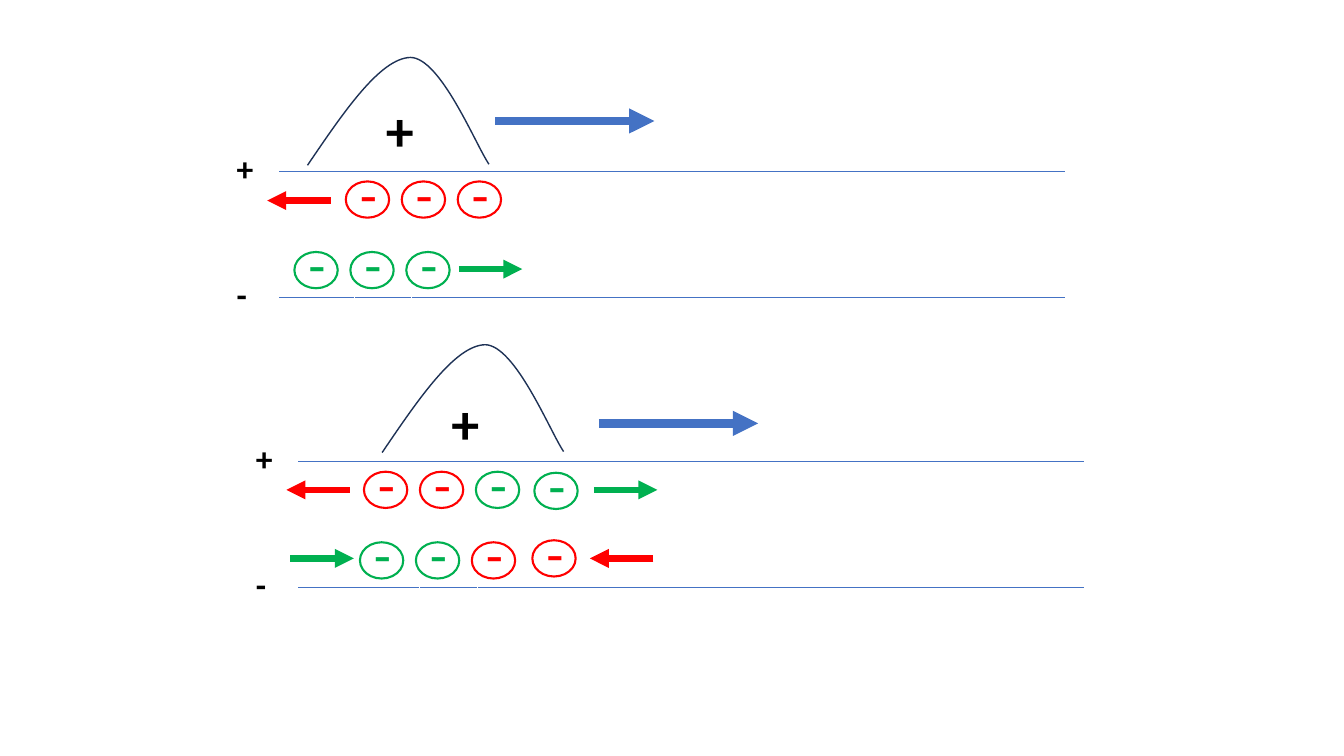
from lxml import etree
from pptx import Presentation
from pptx.dml.color import RGBColor
from pptx.enum.shapes import MSO_CONNECTOR, MSO_SHAPE
from pptx.enum.text import MSO_ANCHOR, PP_ALIGN
from pptx.oxml.ns import qn
from pptx.util import Inches, Pt

BLACK, WHITE, RED, GREEN = "000000", "FFFFFF", "FF0000", "00B050"
BLUE, NAVY = "4472C4", "1E3256"
PITCH = 0.555  # distance between neighbouring charges


def rgb(color):
    return RGBColor.from_string(color)


def set_line(sp, color, width):
    sp.line.color.rgb = rgb(color)
    sp.line.width = Pt(width)


def add_line(shapes, x1, y1, x2, color, width, arrow=False):
    """Horizontal line, with an arrowhead at x2 on request."""
    line = shapes.add_connector(MSO_CONNECTOR.STRAIGHT, Inches(x1), Inches(y1),
                                Inches(x2), Inches(y1))
    set_line(line, color, width)
    if arrow:
        etree.SubElement(line.line._get_or_add_ln(), qn("a:tailEnd"), type="triangle")
    etree.SubElement(line._element.spPr, qn("a:effectLst"))


def add_shape(shapes, kind, x, y, w, h, color, width):
    sp = shapes.add_shape(kind, Inches(x), Inches(y), Inches(w), Inches(h))
    sp.shadow.inherit = False
    sp.fill.background()
    set_line(sp, color, width)
    return sp


def write_sign(sp, sign, size, color, bold):
    tf = sp.text_frame
    tf.word_wrap = True
    tf.vertical_anchor = MSO_ANCHOR.TOP
    p = tf.paragraphs[0]
    p.alignment = PP_ALIGN.LEFT
    p.font.name, p.font.size, p.font.bold = "Calibri", Pt(size), bold
    p.font.color.rgb = rgb(color)
    r = p.add_run()
    r.text = sign


def add_sign(shapes, sign, x, y, w, h, size, color=BLACK, bold=True):
    box = shapes.add_textbox(Inches(x), Inches(y), Inches(w), Inches(h))
    write_sign(box, sign, size, color, bold)


def add_charge(shapes, x, y, color, framed=False):
    """Circled minus sign; a framed one has a white-edged text rectangle."""
    box = (x + 0.04, y - 0.27, 0.57, 0.77)
    if framed:
        sp = add_shape(shapes, MSO_SHAPE.RECTANGLE, *box, WHITE, 0.75)
        write_sign(sp, "-", 40, color, False)
    else:
        add_sign(shapes, "-", *box, 40, color, False)
    add_shape(shapes, MSO_SHAPE.OVAL, x, y, 0.43, 0.36, color, 1.5)


def add_charge_row(shapes, x, y, colors, framed=None):
    group = shapes.add_group_shape()
    for i, color in enumerate(colors):
        add_charge(group.shapes, x + i * PITCH, y, color, i == framed)


def add_pulse(shapes, x, y):
    """Bell curve of two Bezier segments, starting from its left foot."""
    segments = [[(0.36, -0.53), (0.72, -1.06), (1.02, -1.07)],
                [(1.32, -1.07), (1.67, -0.2), (1.8, -0.01)]]
    builder = shapes.build_freeform(Inches(x), Inches(y))
    builder.add_line_segments([(Inches(x + s[-1][0]), Inches(y + s[-1][1]))
                               for s in segments], close=False)
    sp = builder.convert_to_shape()
    sp.shadow.inherit = False
    sp.fill.background()
    set_line(sp, NAVY, 1)
    for node, points in zip(list(sp._element.iter(qn("a:lnTo"))), segments):
        node.tag  # straight step that the curve replaces
        curve = etree.Element(qn("a:cubicBezTo"))
        for dx, dy in points:
            etree.SubElement(curve, qn("a:pt"), x=str(Inches(dx)),
                             y=str(Inches(dy + 1.07)))
        node.getparent().replace(node, curve)


def add_panel(shapes, x, y, pulse, plus, wave, top, bottom, arrows):
    """Two rails with the upper one starting at x, y."""
    add_pulse(shapes, *pulse)
    for sign, dy in (("+", 0), ("-", 1.25)):
        add_line(shapes, x, y + dy, x + 7.79, BLUE, 0.5)
        add_sign(shapes, sign, x - 0.52, y + dy - 0.28, 0.6, 0.5, 24)
    add_line(shapes, *wave, wave[0] + 1.58, BLUE, 6, True)
    # Charges along the lower and the upper rail
    add_charge_row(shapes, *bottom, framed=1)
    add_charge_row(shapes, *top)
    for start, ay, step, color in arrows:
        add_line(shapes, start, ay, start + step, color, 4.5, True)
    add_sign(shapes, "+", *plus, 0.57, 0.77, 40)


def main():
    prs = Presentation()
    prs.slide_width, prs.slide_height = Inches(13.33), Inches(7.5)
    shapes = prs.slides.add_slide(prs.slide_layouts[6]).shapes

    # Upper panel: charges of one colour on each rail
    add_panel(shapes, 2.77, 1.7, pulse=(3.05, 1.64), plus=(3.73, 0.9), wave=(4.91, 1.2),
              top=(3.43, 1.8, [RED] * 3), bottom=(2.92, 2.5, [GREEN] * 3),
              arrows=[(3.28, 1.99, -0.63, RED), (4.55, 2.67, 0.63, GREEN)])

    # Lower panel: mixed charges
    add_panel(shapes, 2.96, 4.58, pulse=(3.79, 4.49), plus=(4.38, 3.81), wave=(5.94, 4.2),
              top=(3.61, 4.68, [RED, RED, GREEN]), bottom=(3.57, 5.38, [GREEN, GREEN, RED]),
              arrows=[(3.47, 4.86, -0.63, RED), (2.88, 5.54, 0.63, GREEN),
                      (5.89, 4.86, 0.63, GREEN), (6.48, 5.54, -0.63, RED)])
    add_charge(shapes, 5.3, 4.69, GREEN)
    add_charge(shapes, 5.28, 5.36, RED)

    prs.save("out.pptx")


if __name__ == "__main__":
    main()
